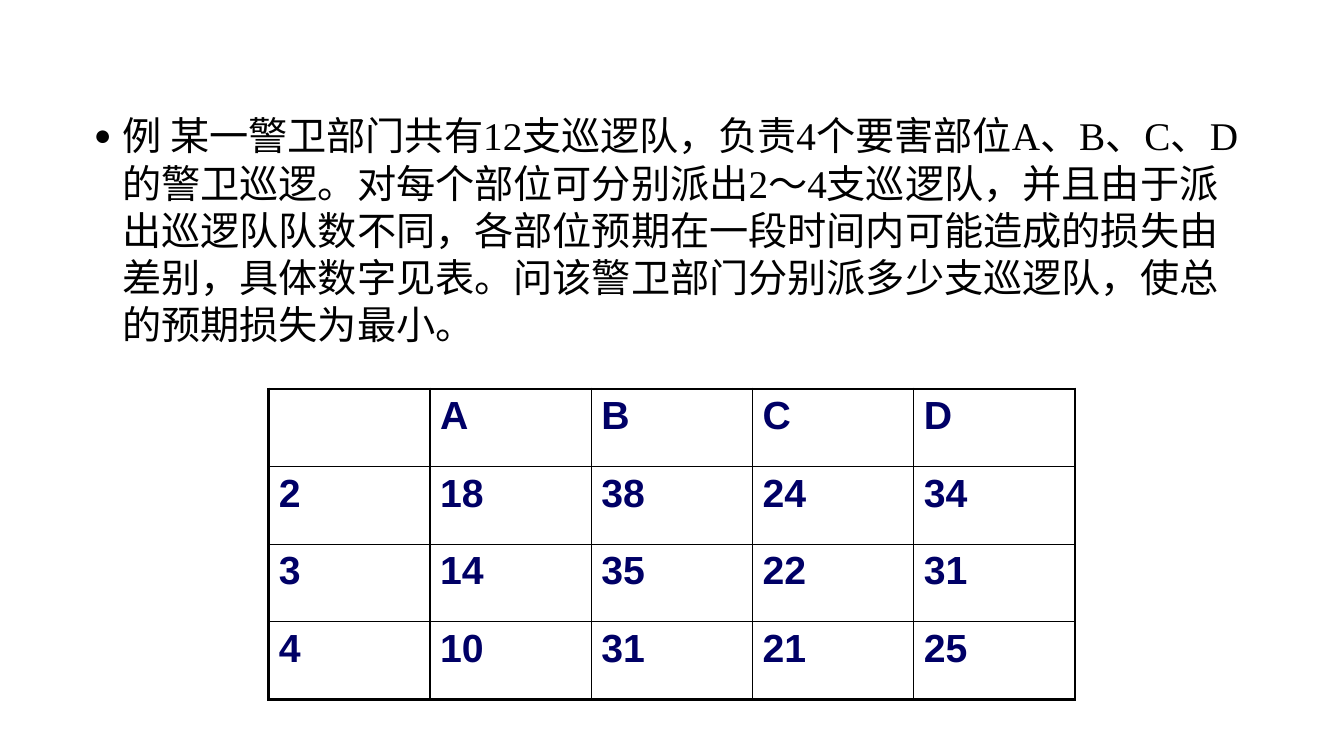
from lxml.etree import SubElement
from pptx import Presentation
from pptx.dml.color import RGBColor
from pptx.enum.lang import MSO_LANGUAGE_ID
from pptx.oxml.ns import qn
from pptx.util import Inches, Pt

PROBLEM = (
    "例 某一警卫部门共有12支巡逻队，负责4个要害部位A、B、C、D的警卫巡逻。"
    "对每个部位可分别派出2～4支巡逻队，并且由于派出巡逻队队数不同，"
    "各部位预期在一段时间内可能造成的损失由差别，具体数字见表。"
    "问该警卫部门分别派多少支巡逻队，使总的预期损失为最小。"
)
LOSSES = [
    ["", "A", "B", "C", "D"],
    ["2", "18", "38", "24", "34"],
    ["3", "14", "35", "22", "31"],
    ["4", "10", "31", "21", "25"],
]


def color(value):
    return RGBColor.from_string(value)


class SlideBuilder:
    """Places elements on a grid of 40 columns by 22.5 rows."""

    UNIT = Inches(13.33) / 40
    BODY = {"name": "Times New Roman", "size": Pt(28), "color": "000000",
            "language_id": MSO_LANGUAGE_ID.SIMPLIFIED_CHINESE}
    CELL = {"name": "Arial", "size": Pt(28), "bold": True, "color": "000066"}
    BORDER, INNER, OUTER = "000000", Pt(1), Pt(2.25)

    def __init__(self, deck):
        self.slide = deck.slides.add_slide(deck.slide_layouts[6])

    def grid(self, *cells):
        return [round(cell * self.UNIT) for cell in cells]

    def add_span(self, para, text, style):
        span = para.add_run()
        span.text = text
        for key, value in style.items():
            if key == "color":
                span.font.color.rgb = color(value)
            else:
                setattr(span.font, key, value)

    def bullet_text(self, place, text):
        box = self.slide.shapes.add_textbox(*self.grid(*place))
        box.text_frame.word_wrap = True
        para = box.text_frame.paragraphs[0]
        self.add_span(para, text, self.BODY)
        # Hanging bullet
        props = para._p.get_or_add_pPr()
        props.set("marL", str(Inches(0.28)))
        props.set("indent", str(Inches(-0.28)))
        SubElement(props, qn("a:buSzPct"), val="75000")
        SubElement(props, qn("a:buFont"), typeface="Arial")
        SubElement(props, qn("a:buChar"), char="●")

    def border(self, cell, side, width):
        line = SubElement(cell._tc.get_or_add_tcPr(), qn(f"a:{side}"), w=str(width))
        fill = SubElement(line, qn("a:solidFill"))
        SubElement(fill, qn("a:srgbClr"), val=self.BORDER)

    def table(self, place, values):
        rows, columns = len(values), len(values[0])
        table = self.slide.shapes.add_table(rows, columns, *self.grid(*place)).table
        table.first_row = table.horz_banding = False
        for r, row in enumerate(values):
            for c, text in enumerate(row):
                cell = table.cell(r, c)
                if text:
                    self.add_span(cell.text_frame.paragraphs[0], text, self.CELL)
                # Thick frame, thin inner lines
                edges = {"lnL": c == 0, "lnR": c == columns - 1,
                         "lnT": r == 0, "lnB": r == rows - 1}
                for side, outer in edges.items():
                    self.border(cell, side, self.OUTER if outer else self.INNER)
                cell.fill.background()


def main():
    deck = Presentation()
    deck.slide_width, deck.slide_height = Inches(13.33), Inches(7.5)
    page = SlideBuilder(deck)
    # Problem statement
    page.bullet_text((2.5, 3.18, 35.04, 16.8), PROBLEM)
    # Expected losses by number of patrols and site
    page.table((8, 11.58, 24, 9.24), LOSSES)
    deck.save("out.pptx")


if __name__ == "__main__":
    main()
